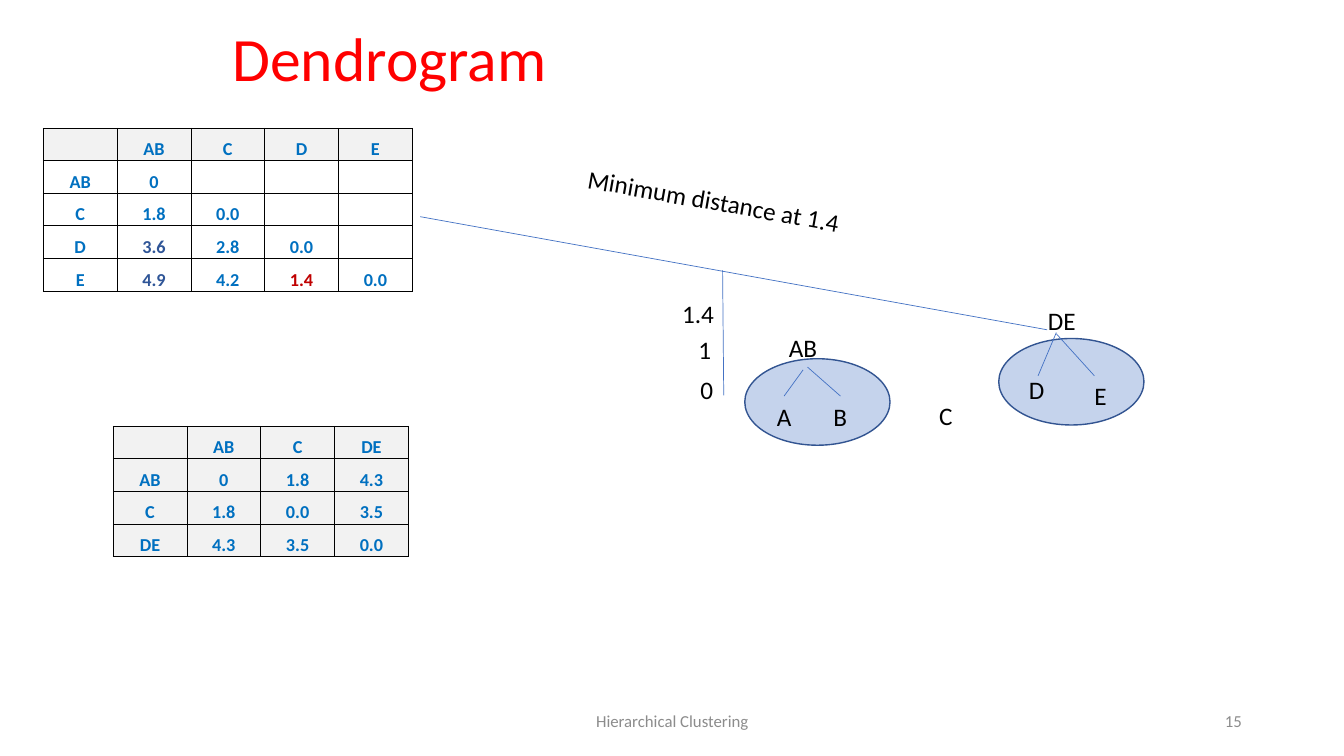
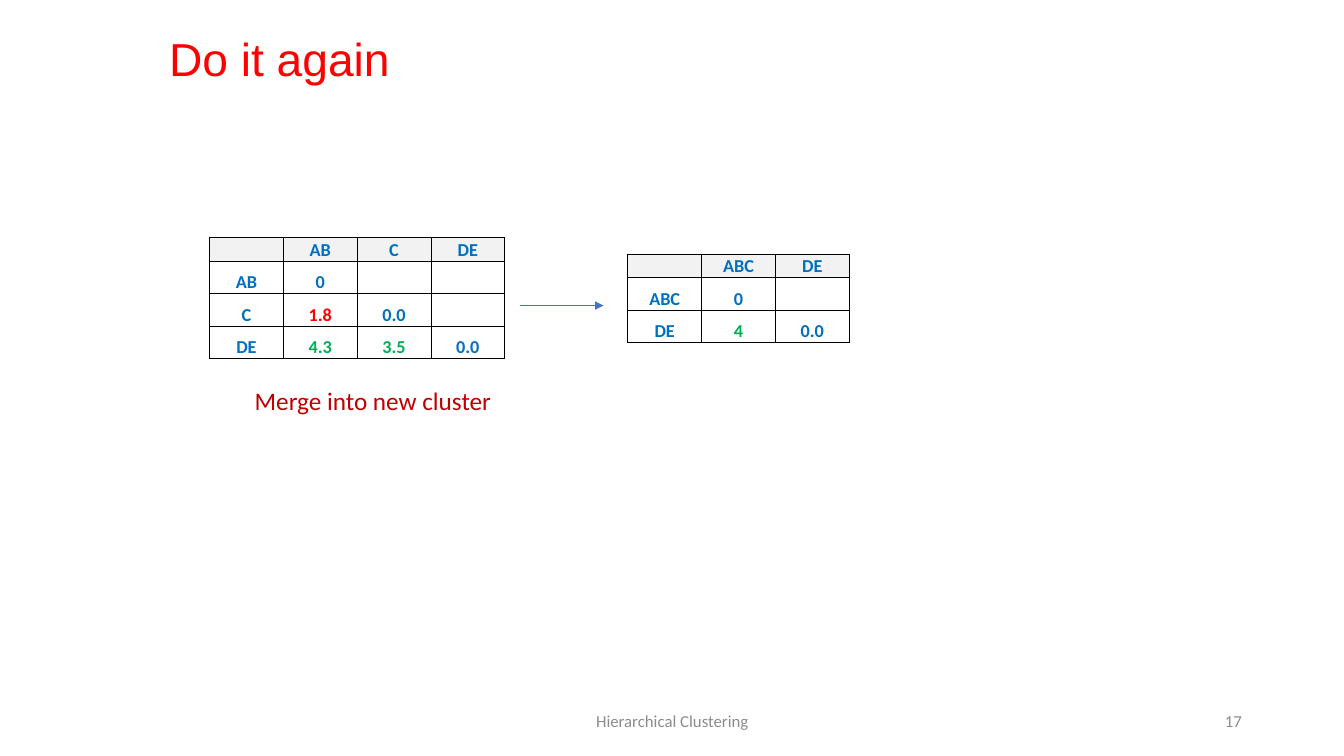
"""Build two slides on hierarchical clustering with distance tables and a dendrogram."""
from lxml import etree
from pptx import Presentation
from pptx.dml import color
from pptx.enum import shapes, text
from pptx.oxml import ns
from pptx.util import Cm, Pt

COLORS = {
    "title": "FF0000", "text": "000000", "footer": "8C8C8C", "line": "4472C4",
    "outline": "325491", "header": "F2F2F2", "value": "0070C0", "navy": "2F5597",
    "dark_red": "C00000", "red": "FF0000", "green": "00B050",
}
FONT = "Calibri"
FOOTER = "Hierarchical Clustering"
COLUMN, ROW, SHORT_ROW = 1.86, 0.82, 0.59
CLUSTER_SIZE = (3.66, 2.18)
LABEL_SIZE = (1.5, 1.02)

DENDROGRAM = {
    "title": ("Dendrogram", 5.61, 0.58, 44, FONT),
    "number": "15",
    "tables": [
        {"at": (2.85, 10.74), "header": ROW, "shaded": True, "rows": [
            ["", "AB", "C", "DE"],
            ["AB", "0", "1.8", "4.3"],
            ["C", "1.8", "0.0", "3.5"],
            ["DE", "4.3", "3.5", "0.0"]]},
        {"at": (1.09, 3.23), "header": ROW, "shaded": False, "rows": [
            ["", "AB", "C", "D", "E"],
            ["AB", "0", "", "", ""],
            ["C", "1.8", "0.0", "", ""],
            ["D", ("3.6", "navy"), "2.8", "0.0", ""],
            ["E", ("4.9", "navy"), "4.2", ("1.4", "dark_red"), "0.0"]]},
    ],
    "clusters": [(25.17, 8.53), (18.77, 9.04)],
    "lines": [
        (26.62, 8.38, 26.16, 9.47), (26.62, 8.41, 27.58, 9.47),
        (18.24, 9.96, 18.21, 6.81),
        (20.24, 9.32, 19.76, 9.98), (20.35, 9.25, 21.18, 9.98),
        (10.59, 5.46, 26.39, 8.31),
    ],
    "labels": [
        ("1.4", 16.94, 7.39), ("1", 17.35, 8.31), ("0", 17.4, 9.32),
        ("AB", 19.63, 8.26), ("A", 19.33, 9.98), ("B", 20.75, 9.98),
        ("C", 23.42, 9.96),
        ("DE", 26.16, 7.57), ("D", 25.68, 9.32), ("E", 27.33, 9.45),
    ],
}
MERGE = {
    "title": ("Do it again", 4.01, 0.79, 33, "Arial"),
    "number": "17",
    "tables": [
        {"at": (5.28, 5.99), "header": SHORT_ROW, "shaded": False, "rows": [
            ["", "AB", "C", "DE"],
            ["AB", "0", "", ""],
            ["C", ("1.8", "red"), "0.0", ""],
            ["DE", ("4.3", "green"), ("3.5", "green"), "0.0"]]},
        {"at": (15.82, 6.4), "header": SHORT_ROW, "shaded": False, "rows": [
            ["", "ABC", "DE"],
            ["ABC", "0", ""],
            ["DE", ("4", "green"), "0.0"]]},
    ],
}


def rgb(name):
    return color.RGBColor.from_string(COLORS[name])


def add_span(para, words, size, tint, font=FONT, bold=False):
    span = para.add_run()
    span.text = words
    span.font.size = Pt(size)
    span.font.name = font
    span.font.bold = bold
    span.font.color.rgb = rgb(tint)


def add_text(page, words, left, top, width, height, size=18, tint="text", font=FONT,
             align=text.PP_ALIGN.LEFT, anchor=text.MSO_ANCHOR.TOP, wrap=True):
    box = page.shapes.add_textbox(Cm(left), Cm(top), Cm(width), Cm(height))
    box.text_frame.word_wrap = wrap
    box.text_frame.vertical_anchor = anchor
    para = box.text_frame.paragraphs[0]
    para.alignment = align
    add_span(para, words, size, tint, font)
    return box


def add_line(page, x1, y1, x2, y2, arrow=False):
    line = page.shapes.add_connector(
        shapes.MSO_CONNECTOR.STRAIGHT, Cm(x1), Cm(y1), Cm(x2), Cm(y2))
    line.line.color.rgb = rgb("line")
    line.line.width = Pt(0.5)
    if arrow:
        etree.SubElement(line.line._get_or_add_ln(), ns.qn("a:tailEnd"), type="triangle")
    etree.SubElement(line._element.spPr, ns.qn("a:effectLst"))


def add_cluster(page, left, top):
    width, height = CLUSTER_SIZE
    oval = page.shapes.add_shape(
        shapes.MSO_SHAPE.OVAL, Cm(left), Cm(top), Cm(width), Cm(height))
    oval.shadow.inherit = False
    oval.fill.solid()
    oval.fill.fore_color.rgb = rgb("line")
    tone = oval._element.spPr.find(".//" + ns.qn("a:srgbClr"))
    etree.SubElement(tone, ns.qn("a:alpha"), val="31000")
    oval.line.color.rgb = rgb("outline")
    oval.line.width = Pt(1)


def add_borders(cell):
    props = cell._tc.get_or_add_tcPr()
    for side in ("a:lnL", "a:lnR", "a:lnT", "a:lnB"):
        edge = etree.SubElement(props, ns.qn(side), w=str(Pt(0.5)))
        fill = etree.SubElement(edge, ns.qn("a:solidFill"))
        etree.SubElement(fill, ns.qn("a:srgbClr"), val=COLORS["text"])


def fill_cell(cell, value, shaded):
    words, tint = value if isinstance(value, tuple) else (value, "value")
    cell.margin_left = cell.margin_right = cell.margin_top = Cm(0.03)
    cell.margin_bottom = Cm(0)
    cell.vertical_anchor = text.MSO_ANCHOR.BOTTOM
    para = cell.text_frame.paragraphs[0]
    para.alignment = text.PP_ALIGN.CENTER
    if words:
        add_span(para, words, 13, tint, bold=True)
    else:
        etree.SubElement(para._p, ns.qn("a:endParaRPr"), sz="1300")
    add_borders(cell)
    if shaded:
        cell.fill.solid()
        cell.fill.fore_color.rgb = rgb("header")
    else:
        cell.fill.background()


def add_distances(page, at, header, shaded, rows):
    heights = [header] + [ROW] * (len(rows) - 1)
    columns = len(rows[0])
    grid = page.shapes.add_table(
        len(rows), columns, Cm(at[0]), Cm(at[1]), Cm(COLUMN * columns), Cm(sum(heights))).table
    grid.first_row = grid.horz_banding = False
    for column in grid.columns:
        column.width = Cm(COLUMN)
    for r, (values, height) in enumerate(zip(rows, heights)):
        grid.rows[r].height = Cm(height)
        for c, value in enumerate(values):
            fill_cell(grid.cell(r, c), value, shaded or r == 0)


def add_page(deck, content):
    page = deck.slides.add_slide(deck.slide_layouts[6])
    words, left, top, size, font = content["title"]
    title = add_text(page, words, left, top, 26, 2.64, size, "title", font)
    title.text_frame.paragraphs[0].line_spacing = 0.9
    for words, left, width, align in (
            (FOOTER, 11.23, 11.43, text.PP_ALIGN.CENTER),
            (content["number"], 23.93, 7.62, text.PP_ALIGN.RIGHT)):
        add_text(page, words, left, 17.65, width, 1.01, 12, "footer",
                 align=align, anchor=text.MSO_ANCHOR.MIDDLE)
    for table in content["tables"]:
        add_distances(page, **table)
    return page


def main():
    deck = Presentation()
    deck.slide_width, deck.slide_height = Cm(33.87), Cm(19.05)

    page = add_page(deck, DENDROGRAM)
    for spot in DENDROGRAM["clusters"]:
        add_cluster(page, *spot)
    for ends in DENDROGRAM["lines"]:
        add_line(page, *ends)
    for label in DENDROGRAM["labels"]:
        add_text(page, *label, *LABEL_SIZE)
    caption = add_text(page, "Minimum distance at 1.4", 14.53, 4.55, 6.99, 1.02, wrap=False)
    caption.rotation = 10

    page = add_page(deck, MERGE)
    add_line(page, 13.11, 7.7, 15.21, 7.7, arrow=True)
    add_text(page, "Merge into new cluster", 6.17, 9.58, 10.74, 1.02, tint="dark_red")

    deck.save("out.pptx")


if __name__ == "__main__":
    main()
